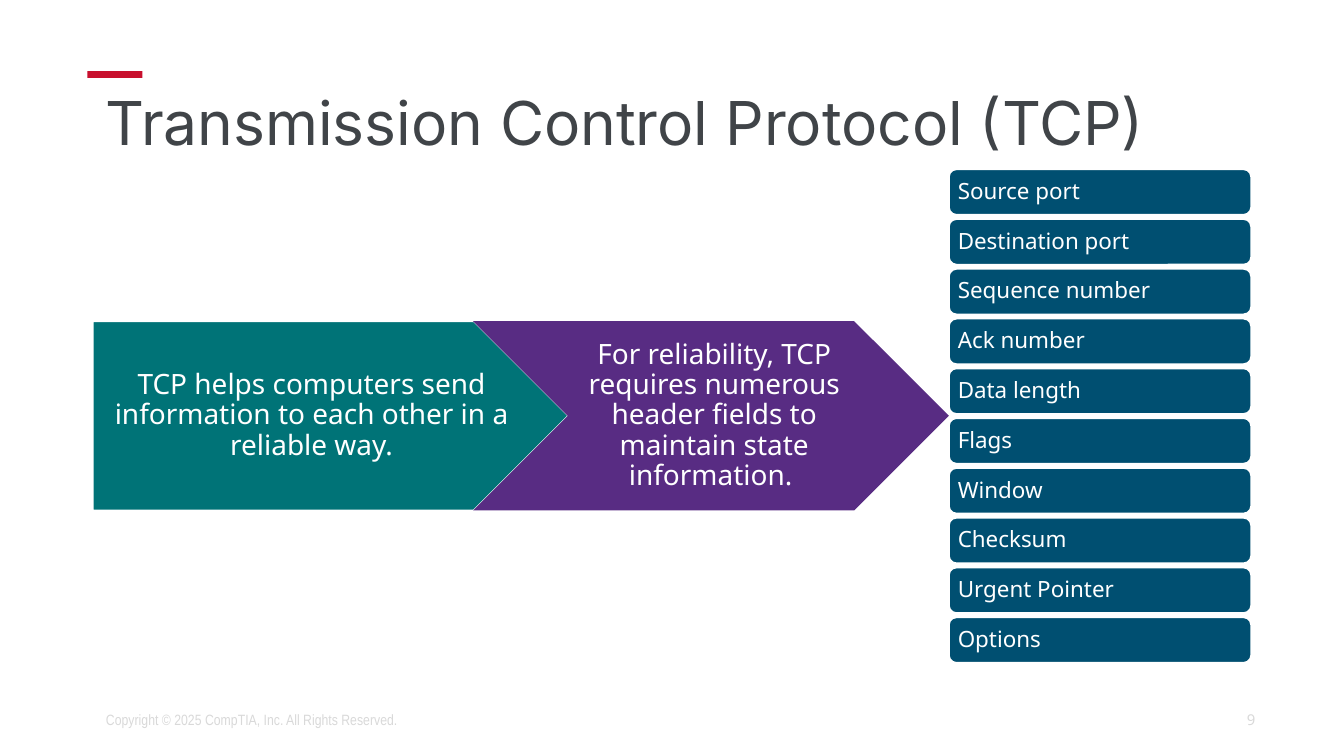
from pptx import Presentation
from pptx import util as u
from pptx.dml.color import RGBColor
from pptx.enum import shapes, text

PX = 4572  # 200 px to the inch

RED = RGBColor(0xC8, 0x10, 0x2E)
CHARCOAL = RGBColor(0x40, 0x44, 0x48)
TEAL = RGBColor(0x00, 0x73, 0x77)
PURPLE = RGBColor(0x58, 0x2C, 0x83)
NAVY = RGBColor(0x00, 0x4F, 0x71)
WHITE = RGBColor(0xFF, 0xFF, 0xFF)
GREY = RGBColor(0xD9, 0xD9, 0xD9)

LEFT, CENTER, RIGHT = text.PP_ALIGN.LEFT, text.PP_ALIGN.CENTER, text.PP_ALIGN.RIGHT
KIND = shapes.MSO_SHAPE

deck = Presentation()
deck.slide_width, deck.slide_height = 2000 * PX, 1124 * PX
page = deck.slides.add_slide(deck.slide_layouts[5])


def add_block(kind, left, top, width, height, fill, outlined=False):
    block = page.shapes.add_shape(kind, left * PX, round(top * PX), width * PX, height * PX)
    block.shadow.inherit = False
    block.fill.solid()
    block.fill.fore_color.rgb = fill
    if outlined:
        block.line.color.rgb = WHITE
        block.line.width = u.Pt(1)
    else:
        block.line.fill.background()
    return block


def write(box, words, font, size, color, align=LEFT, spacing=1.0, insets=(20, 10, 20, 10)):
    frame = box.text_frame
    frame.word_wrap = True
    frame.auto_size = text.MSO_AUTO_SIZE.NONE
    frame.vertical_anchor = text.MSO_ANCHOR.MIDDLE
    frame.margin_left, frame.margin_top, frame.margin_right, frame.margin_bottom = (
        inset * PX for inset in insets)
    para = frame.paragraphs[0]
    para.alignment = align
    para.line_spacing = spacing
    span = para.add_run()
    span.text = words
    span.font.name = font
    span.font.size = u.Pt(size)
    span.font.color.rgb = color


# Accent bar and title
add_block(KIND.RECTANGLE, 130, 106, 82, 10, RED)
title = page.shapes.title
title.left, title.top, title.width, title.height = 138 * PX, 130 * PX, 1732 * PX, 108 * PX
write(title, "Transmission Control Protocol (TCP)", "Inter", 32.4, CHARCOAL,
      spacing=0.9, insets=(19, 13, 20, 7))

# Process arrows
arrows = [
    (KIND.PENTAGON, 138, TEAL, True, 18,
     "TCP helps computers send information to each other in a reliable way."),
    (KIND.CHEVRON, 704, PURPLE, False, 14,
     "For reliability, TCP requires numerous header fields to maintain state information. "),
]
for kind, left, fill, outlined, inset, words in arrows:
    arrow = add_block(kind, left, 478, 708, 282, fill, outlined)
    write(arrow, words, "Noto Sans", 15, WHITE, CENTER, 0.9, (inset, 8, 4, 8))

# Header fields, spread evenly from the first top to the last
fields = ["Source port", "Destination port", "Sequence number", "Ack number", "Data length",
          "Flags", "Window", "Checksum", "Urgent Pointer", "Options"]
FIRST_TOP, LAST_TOP = 252, 919
pitch = (LAST_TOP - FIRST_TOP) / (len(fields) - 1)
for index, field in enumerate(fields):
    block = add_block(KIND.ROUNDED_RECTANGLE, 1412, FIRST_TOP + index * pitch, 450, 68, NAVY, True)
    write(block, field, "Noto Sans", 12, WHITE, LEFT, 0.9, (10, 10, 10, 10))

# Page number and copyright line
footers = [
    (1412, 476, "9", "Noto Sans", RIGHT),
    (138, 862, "Copyright © 2025 CompTIA, Inc. All Rights Reserved.", "Arial Narrow", LEFT),
]
for left, width, words, font, align in footers:
    box = page.shapes.add_textbox(left * PX, 1041 * PX, width * PX, 60 * PX)
    write(box, words, font, 8, GREY, align)

deck.save("out.pptx")
